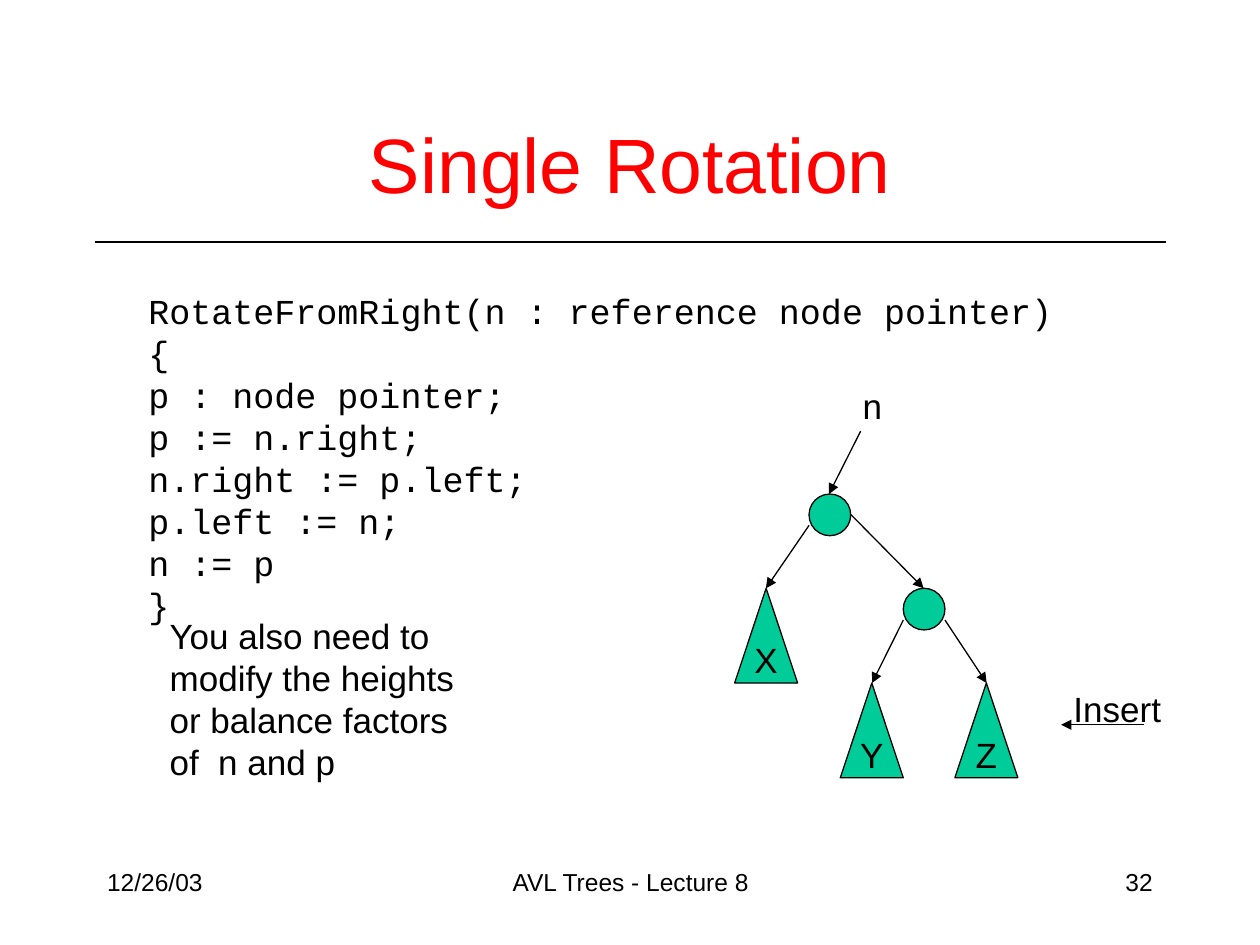
from pptx import Presentation
from pptx import util as u
from pptx.dml.color import RGBColor
from pptx.enum import shapes, text
from pptx.oxml.ns import qn
from lxml import etree

INCH = 2.54
LEFT, MID, RIGHT = text.PP_ALIGN.LEFT, text.PP_ALIGN.CENTER, text.PP_ALIGN.RIGHT
TOP, CORE = text.MSO_ANCHOR.TOP, text.MSO_ANCHOR.MIDDLE


def color(code):
    return RGBColor.from_string(code)


def cm(*nums):
    return [u.Cm(round(n * INCH, 2)) for n in nums]


class Deck:
    """Style and current slide."""
    ink, fill, red = "000000", "00CC99", "FF0000"
    sans, mono = "Arial", "Courier New"
    size, thin = 20, 0.75

    def __init__(self):
        self.prs = Presentation()
        self.prs.slide_width, self.prs.slide_height = cm(10, 7.5)
        self.slide = self.prs.slides.add_slide(self.prs.slide_layouts[5])

    def words(self, shape, lines, align=LEFT, anchor=TOP, wrap=True,
              size=None, font=None, ink=None):
        frame = shape.text_frame
        frame.text = "\n".join(lines)
        form = dict(word_wrap=wrap, vertical_anchor=anchor,
                    auto_size=text.MSO_AUTO_SIZE.NONE)
        for key, val in form.items():
            setattr(frame, key, val)
        look = dict(name=font or self.sans, size=u.Pt(size or self.size))
        for para in frame.paragraphs:
            para.alignment = align
            for run in para.runs:
                for key, val in look.items():
                    setattr(run.font, key, val)
                run.font.color.rgb = color(ink or self.ink)

    def title(self, line, box):
        head = self.slide.shapes.title
        for key, val in zip(("left", "top", "width", "height"), cm(*box)):
            setattr(head, key, val)
        self.words(head, [line], MID, CORE, size=44, ink=self.red)

    def label(self, lines, box, **form):
        self.words(self.slide.shapes.add_textbox(*cm(*box)), lines, **form)

    def shape(self, kind, box, name=None):
        item = self.slide.shapes.add_shape(kind, *cm(*box))
        item.shadow.inherit = False
        item.fill.solid()
        item.fill.fore_color.rgb = color(self.fill)
        item.line.color.rgb = color(self.ink)
        item.line.width = u.Pt(self.thin)
        if name:
            self.words(item, [name], MID, CORE, wrap=False)

    def line(self, start, end, arrow=False):
        item = self.slide.shapes.add_connector(
            shapes.MSO_CONNECTOR.STRAIGHT, *cm(*start, *end))
        item.line.color.rgb = color(self.ink)
        item.line.width = u.Pt(self.thin)
        props = item._element.spPr
        if arrow:
            tip = etree.SubElement(props.find(qn("a:ln")), qn("a:tailEnd"))
            tip.set("type", "triangle")
        etree.SubElement(props, qn("a:effectLst"))


deck = Deck()

# Heading and rule
deck.title("Single Rotation", (0.75, 0.67, 8.5, 1.25))
deck.line((0.75, 1.92), (9.25, 1.92))

# Footer
for line, left, width, align in (("12/26/03", 0.75, 2.08, LEFT),
                                 ("AVL Trees - Lecture 8", 3.42, 3.17, MID),
                                 ("32", 7.17, 2.08, RIGHT)):
    deck.label([line], (left, 6.83, width, 0.5), align=align, size=14)

# Code
deck.label(["RotateFromRight(n : reference node pointer)\v{",
            "p : node pointer;", "p := n.right;", "n.right := p.left;",
            "p.left := n;", "n := p", "}"],
           (1.08, 2.25, 7.7, 2.43), wrap=False, font=deck.mono)

# Tree nodes
for left, top in ((6.42, 3.92), (7.17, 4.67)):
    deck.shape(shapes.MSO_SHAPE.OVAL, (left, top, 0.33, 0.33))

# Subtrees
for name, left, top in (("X", 5.83, 4.67), ("Y", 6.67, 5.42), ("Z", 7.58, 5.42)):
    deck.shape(shapes.MSO_SHAPE.ISOSCELES_TRIANGLE, (left, top, 0.5, 0.75), name)

# Arrows: pointer, tree edges, insertion
for start, end in (((6.83, 3.42), (6.58, 3.92)),
                   ((6.42, 4.17), (6.08, 4.67)),
                   ((6.75, 4.08), (7.33, 4.67)),
                   ((7.17, 4.92), (6.92, 5.42)),
                   ((7.5, 4.92), (7.83, 5.42)),
                   ((9.08, 5.75), (8.42, 5.75))):
    deck.line(start, end, arrow=True)

# Labels
deck.label(["n"], (6.75, 3, 0.36, 0.43), wrap=False)
deck.label(["You also need to modify the heights or balance factors of  n and p"],
           (1.25, 4.83, 2.67, 1.43))
deck.label(["Insert"], (8.42, 5.41, 1, 0.43))

deck.prs.save("out.pptx")
